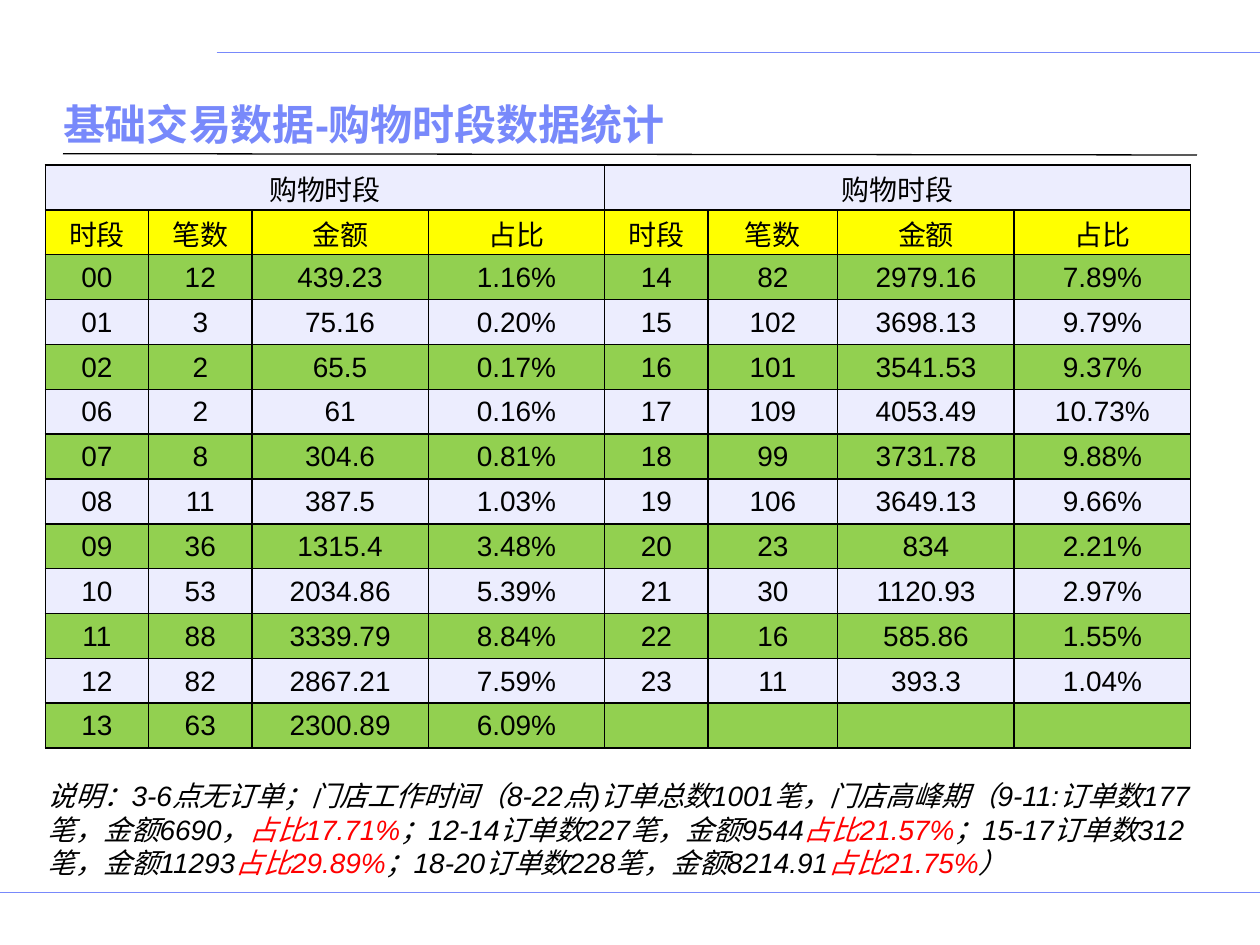
from lxml.etree import SubElement
from pptx import Presentation
from pptx.dml.color import RGBColor
from pptx.enum.shapes import MSO_CONNECTOR as Connector
from pptx.enum.text import MSO_ANCHOR as Anchor, MSO_AUTO_SIZE as AutoSize, PP_ALIGN as Align
from pptx.oxml.ns import qn
from pptx.util import Inches, Pt

COLORS = {"accent": "7889FB", "ink": "000000", "alert": "FF0000",
          "pale": "ECEDFE", "header": "FFFF00", "band": "92D050"}
GRID_COLUMNS, GRID_ROWS = 100, 75

TITLE = "基础交易数据-购物时段数据统计"
SECTION = "购物时段"
FIELDS = ["时段", "笔数", "金额", "占比"]
EARLY_HOURS = [
    ("00", "12", "439.23", "1.16%"), ("01", "3", "75.16", "0.20%"),
    ("02", "2", "65.5", "0.17%"), ("06", "2", "61", "0.16%"),
    ("07", "8", "304.6", "0.81%"), ("08", "11", "387.5", "1.03%"),
    ("09", "36", "1315.4", "3.48%"), ("10", "53", "2034.86", "5.39%"),
    ("11", "88", "3339.79", "8.84%"), ("12", "82", "2867.21", "7.59%"),
    ("13", "63", "2300.89", "6.09%"),
]
LATE_HOURS = [
    ("14", "82", "2979.16", "7.89%"), ("15", "102", "3698.13", "9.79%"),
    ("16", "101", "3541.53", "9.37%"), ("17", "109", "4053.49", "10.73%"),
    ("18", "99", "3731.78", "9.88%"), ("19", "106", "3649.13", "9.66%"),
    ("20", "23", "834", "2.21%"), ("21", "30", "1120.93", "2.97%"),
    ("22", "16", "585.86", "1.55%"), ("23", "11", "393.3", "1.04%"),
    ("", "", "", ""),
]
COLUMN_WIDTHS = [8.2, 8.2, 14, 14, 8.2, 10.3, 14, 14]
ROW_HEIGHT = 3.56

# Plain and highlighted parts alternate
EXPLANATION = [
    "说明：3-6点无订单；门店工作时间（8-22点)订单总数1001笔，门店高峰期（9-11:订单数177笔，金额6690，",
    "占比17.71%", "；12-14订单数227笔，金额9544",
    "占比21.57%", "；15-17订单数312笔，金额11293",
    "占比29.89%", "；18-20订单数228笔，金额8214.91",
    "占比21.75%", "）",
]


def write(paragraph, text, size=16, color="ink", bold=False, italic=False, align=Align.LEFT):
    paragraph.alignment = align
    run = paragraph.add_run()
    run.text = text
    font = run.font
    font.name, font.size, font.bold, font.italic = "Arial", Pt(size), bold, italic
    font.color.rgb = RGBColor.from_string(COLORS[color])


class SlideBuilder:
    def __init__(self, deck):
        self.unit_x = deck.slide_width / GRID_COLUMNS
        self.unit_y = deck.slide_height / GRID_ROWS
        self.slide = deck.slides.add_slide(deck.slide_layouts[5])

    def x(self, columns):
        return round(columns * self.unit_x)

    def y(self, rows):
        return round(rows * self.unit_y)

    def box(self, left, top, width, height):
        return self.x(left), self.y(top), self.x(width), self.y(height)

    def rule(self, start, end, color, weight):
        line = self.slide.shapes.add_connector(
            Connector.STRAIGHT, self.x(start[0]), self.y(start[1]), self.x(end[0]), self.y(end[1]))
        line.line.color.rgb = RGBColor.from_string(COLORS[color])
        line.line.width = Pt(weight)
        SubElement(line._element.spPr, qn("a:effectLst"))

    def title(self, text, *area):
        heading = self.slide.shapes.title
        heading.left, heading.top, heading.width, heading.height = self.box(*area)
        frame = heading.text_frame
        frame.auto_size, frame.vertical_anchor = AutoSize.NONE, Anchor.BOTTOM
        frame.margin_left = frame.margin_right = 0
        write(frame.paragraphs[0], text, size=24, color="accent", bold=True)

    def explanation(self, parts, *area):
        frame = self.slide.shapes.add_textbox(*self.box(*area)).text_frame
        frame.word_wrap = True
        frame.margin_left = frame.margin_right = Inches(0.05)
        for index, part in enumerate(parts):
            write(frame.paragraphs[0], part, color="alert" if index % 2 else "ink", italic=True)

    def cell(self, cell, text, fill):
        cell.margin_left = cell.margin_right = cell.margin_top = Inches(0.01)
        cell.margin_bottom = 0
        cell.vertical_anchor = Anchor.MIDDLE
        properties = cell._tc.get_or_add_tcPr()
        for side in ("a:lnL", "a:lnR", "a:lnT", "a:lnB"):
            border = SubElement(properties, qn(side), w=str(Pt(1)))
            SubElement(SubElement(border, qn("a:solidFill")), qn("a:srgbClr"), val=COLORS["ink"])
        cell.fill.solid()
        cell.fill.fore_color.rgb = RGBColor.from_string(COLORS[fill])
        if text:
            write(cell.text_frame.paragraphs[0], text, align=Align.CENTER)

    def table(self, rows, fills, left, top):
        area = self.box(left, top, sum(COLUMN_WIDTHS), ROW_HEIGHT * len(rows))
        table = self.slide.shapes.add_table(len(rows), len(COLUMN_WIDTHS), *area).table
        for column, width in zip(table.columns, COLUMN_WIDTHS):
            column.width = self.x(width)
        for r, (row, fill) in enumerate(zip(rows, fills)):
            table.rows[r].height = self.y(ROW_HEIGHT)
            for c, text in enumerate(row):
                self.cell(table.cell(r, c), text, fill)
        # Each section heading spans its four fields
        for first in (0, len(FIELDS)):
            table.cell(0, first).merge(table.cell(0, first + len(FIELDS) - 1))


def main():
    deck = Presentation()
    deck.slide_width, deck.slide_height = Inches(10), Inches(7.5)
    page = SlideBuilder(deck)

    # Page rules and title
    page.rule((17.2, 4.2), (100, 4.2), "accent", 0.5)
    page.rule((0, 70.8), (100, 70.8), "accent", 0.5)
    page.rule((5, 12.2), (95, 12.3), "ink", 0.75)
    page.title(TITLE, 5, 3.1, 90, 9.2)

    # Orders by hour, two halves of the day side by side
    section_row = [SECTION, "", "", ""] * 2
    hours = [early + late for early, late in zip(EARLY_HOURS, LATE_HOURS)]
    bands = ["pale" if index % 2 else "band" for index in range(len(hours))]
    page.table([section_row, FIELDS * 2, *hours], ["pale", "header", *bands], 3.6, 13.1)

    # Explanation of the peak hours
    page.explanation(EXPLANATION, 3.3, 61.3, 92.2, 9.3)

    deck.save("out.pptx")


if __name__ == "__main__":
    main()
